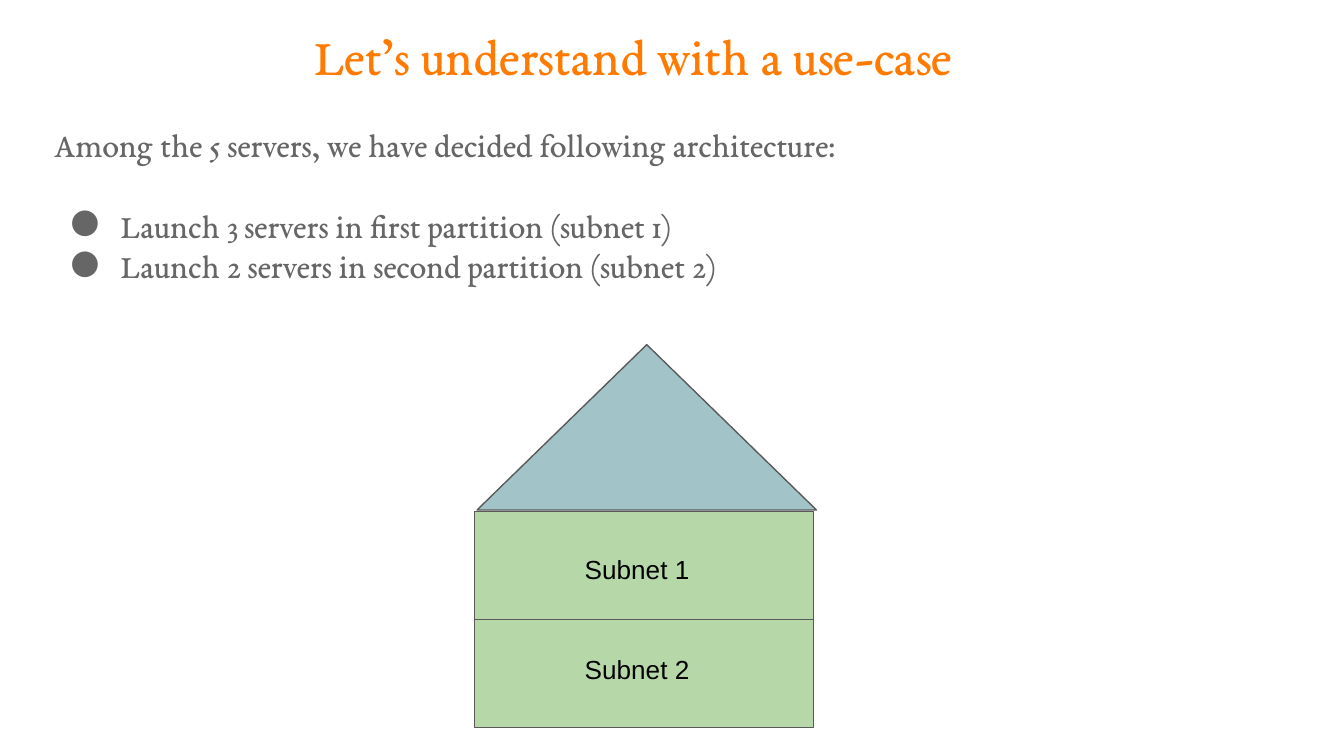
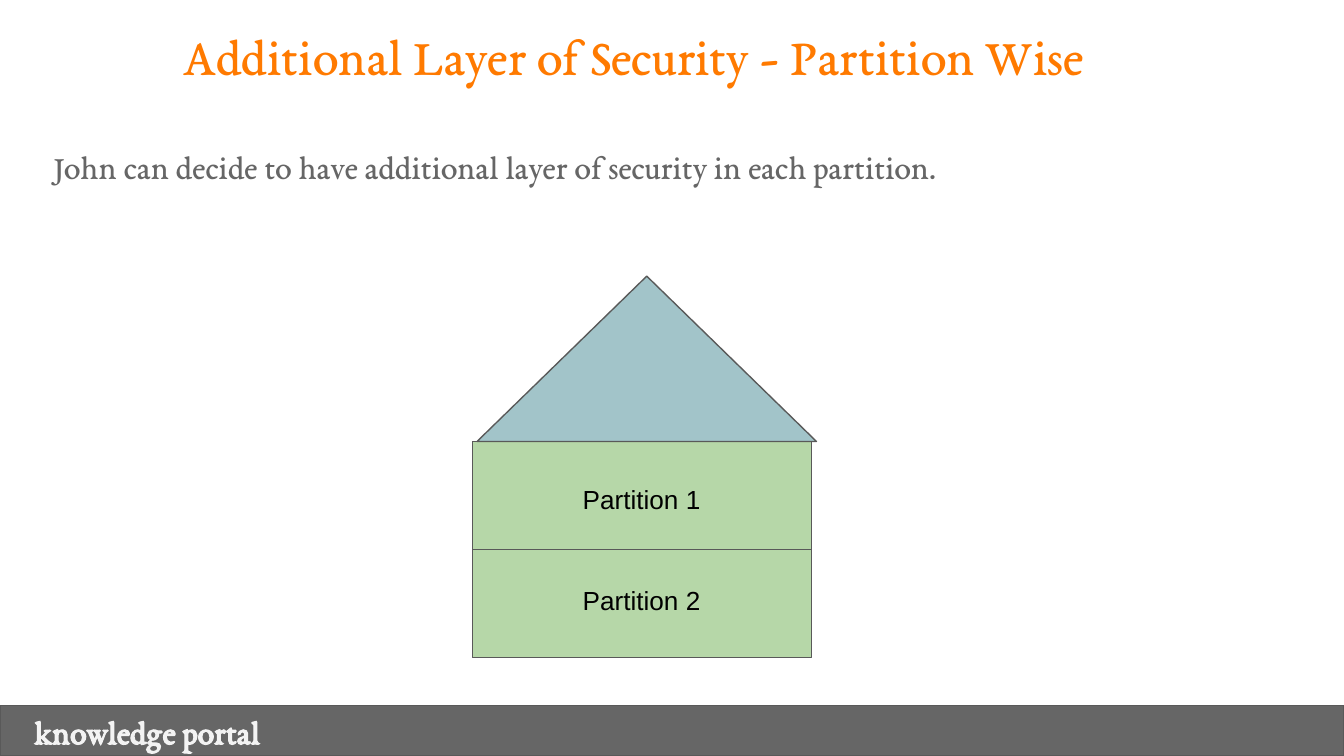
"""Build two slides on splitting servers into partitions."""
from dataclasses import dataclass
from typing import Any, NamedTuple

from lxml.etree import SubElement
from pptx import Presentation
from pptx.dml.color import RGBColor
from pptx.enum.shapes import MSO_CONNECTOR, MSO_SHAPE
from pptx.enum.text import MSO_ANCHOR, MSO_AUTO_SIZE, PP_ALIGN
from pptx.oxml.ns import qn
from pptx.util import Emu, Pt

PX = 4572
WIDE, HIGH = 2000, 1125


class Face(NamedTuple):
    """Hold a text style."""
    name: str
    size: int
    ink: str
    bold: bool = False


@dataclass(frozen=True)
class Theme:
    """Hold the shared colours and type sizes."""
    edge: str = "595959"
    wall: str = "B6D7A8"
    roof: str = "A2C4C9"
    band: str = "666666"
    line: float = 0.75
    gap: int = 22
    title: Face = Face("EB Garamond", 28, "FF7A00")
    body: Face = Face("EB Garamond", 18, "666666")
    label: Face = Face("Arial", 14, "000000")
    foot: Face = Face("EB Garamond", 18, "F3F3F3", True)


class Box(NamedTuple):
    """Hold a place in px."""
    left: int
    top: int
    width: int
    height: int

    def emu(self) -> list[Emu]:
        """Return the place in EMU."""
        return [Emu(side * PX) for side in self]


class House(NamedTuple):
    """Hold a house with two named floors."""
    left: int
    top: int
    peak: int
    floor: str


class Page(NamedTuple):
    """Hold the content of one slide."""
    title: str
    top: int
    text: str
    items: tuple[str, ...]
    house: House
    foot: str = ""


THEME = Theme()
PAGES = (
    Page("Let’s understand with a use-case", 164,
         "Among the 5 servers, we have decided following architecture:",
         ("Launch 3 servers in first partition (subnet 1)",
          "Launch 2 servers in second partition (subnet 2)"),
         House(706, 761, 513, "Subnet")),
    Page("Additional Layer of Security - Partition Wise", 197,
         "John can decide to have additional layer of security in each partition.",
         (), House(703, 657, 411, "Partition"), "knowledge portal"),
)


def put(item: Any, vals: dict[str, Any]) -> None:
    """Set each named value on an item."""
    for key, val in vals.items():
        setattr(item, key, val)


def write(para: Any, text: str, face: Face, align: Any = PP_ALIGN.LEFT) -> None:
    """Write one styled run."""
    para.alignment = align
    run = para.add_run()
    run.text = text
    put(run.font, {"name": face.name, "size": Pt(face.size), "bold": face.bold})
    run.font.color.rgb = RGBColor.from_string(face.ink)


def frame(shape: Any, inset: int = 20, anchor: Any = MSO_ANCHOR.TOP) -> Any:
    """Set up and return a text frame."""
    area = shape.text_frame
    side = Emu(20 * PX)
    put(area, {"word_wrap": True, "auto_size": MSO_AUTO_SIZE.NONE,
               "vertical_anchor": anchor, "margin_left": Emu(inset * PX),
               "margin_top": side, "margin_right": side, "margin_bottom": side})
    return area


def bullet(para: Any) -> None:
    """Give a paragraph a round bullet."""
    props = para._p.get_or_add_pPr()
    props.set("marL", str(100 * PX))
    props.set("indent", str(-75 * PX))
    tint = SubElement(props, qn("a:buClr"))
    SubElement(tint, qn("a:srgbClr")).set("val", THEME.body.ink)
    SubElement(props, qn("a:buSzPts")).set("val", str(THEME.body.size * 100))
    SubElement(props, qn("a:buFont")).set("typeface", THEME.body.name)
    SubElement(props, qn("a:buChar")).set("char", "●")


def edge(line: Any) -> None:
    """Style an outline."""
    line.color.rgb = RGBColor.from_string(THEME.edge)
    line.width = Pt(THEME.line)


def block(slide: Any, kind: Any, box: Box, fill: str) -> Any:
    """Draw a filled shape."""
    shape = slide.shapes.add_shape(kind, *box.emu())
    shape.shadow.inherit = False
    shape.fill.solid()
    shape.fill.fore_color.rgb = RGBColor.from_string(fill)
    edge(shape.line)
    return shape


def draw_house(slide: Any, house: House) -> None:
    """Draw the roof, walls and two floors."""
    wall = block(slide, MSO_SHAPE.RECTANGLE,
                 Box(house.left, house.top, 505, 322), THEME.wall)
    block(slide, MSO_SHAPE.ISOSCELES_TRIANGLE,
          Box(710, house.peak, 505, 246), THEME.roof)
    split = slide.shapes.add_connector(MSO_CONNECTOR.STRAIGHT, 0, 0, 0, 0)
    split.begin_connect(wall, 1)
    split.end_connect(wall, 3)
    SubElement(split._element.spPr, qn("a:effectLst"))
    edge(split.line)
    for row in range(2):
        box = Box(house.left + 68, house.top + 43 + 149 * row, 370, 76)
        area = frame(slide.shapes.add_textbox(*box.emu()), 96)
        write(area.paragraphs[0], f"{house.floor} {row + 1}", THEME.label)


def draw_title(slide: Any, text: str) -> None:
    """Place and fill the title."""
    title = slide.shapes.title
    put(title, dict(zip(("left", "top", "width", "height"),
                        Box(0, 14, 1884, 174).emu())))
    write(frame(title).paragraphs[0], text, THEME.title, PP_ALIGN.CENTER)


def draw_body(slide: Any, page: Page) -> None:
    """Write the lead line and its bullets."""
    box = Box(60, page.top, 1884, 268)
    area = frame(slide.shapes.add_textbox(*box.emu()))
    write(area.paragraphs[0], page.text, THEME.body)
    for rank, item in enumerate(page.items):
        para = area.add_paragraph()
        bullet(para)
        para.space_before = Pt(0 if rank else THEME.gap)
        write(para, item, THEME.body)


def draw_foot(slide: Any, text: str) -> None:
    """Draw the footer band."""
    band = block(slide, MSO_SHAPE.RECTANGLE,
                 Box(0, 1050, WIDE, HIGH - 1050), THEME.band)
    area = frame(band, 51, MSO_ANCHOR.MIDDLE)
    write(area.paragraphs[0], text, THEME.foot)


def main() -> None:
    """Build and save the deck."""
    deck = Presentation()
    put(deck, {"slide_width": Emu(WIDE * PX), "slide_height": Emu(HIGH * PX)})
    for page in PAGES:
        slide = deck.slides.add_slide(deck.slide_layouts[5])
        draw_title(slide, page.title)
        if page.foot:
            draw_foot(slide, page.foot)
        draw_body(slide, page)
        draw_house(slide, page.house)
    deck.save("out.pptx")


if __name__ == "__main__":
    main()
